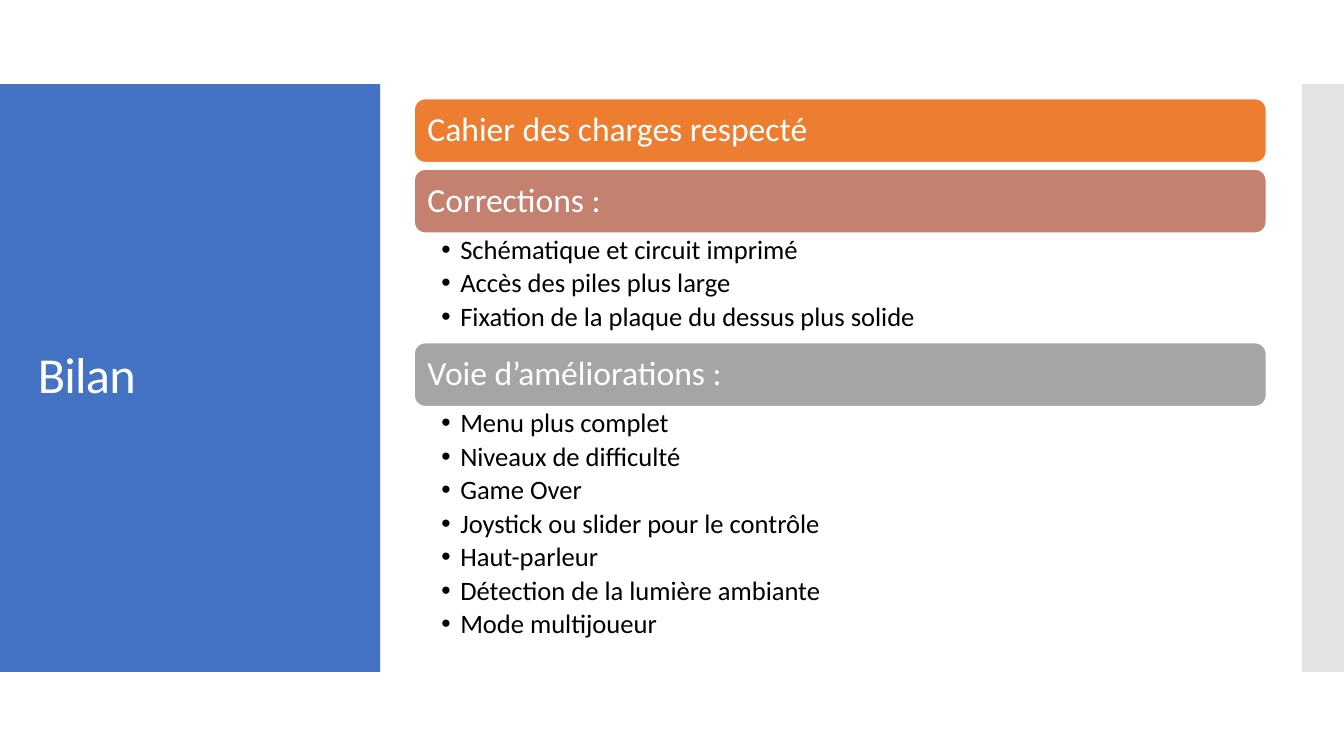
from pptx import Presentation
from pptx.dml.color import RGBColor
from pptx.enum.shapes import MSO_SHAPE
from pptx.enum.text import MSO_ANCHOR, PP_ALIGN
from pptx.oxml.ns import qn
from pptx.util import Pt
from lxml.etree import SubElement

# Content: heading, bar colour, points
TITLE = "Bilan"
SECTIONS = [
    ("Cahier des charges respecté", "ED7D31", []),
    ("Corrections :", "C48170", [
        "Schématique et circuit imprimé",
        "Accès des piles plus large",
        "Fixation de la plaque du dessus plus solide",
    ]),
    ("Voie d’améliorations :", "A5A5A5", [
        "Menu plus complet",
        "Niveaux de difficulté",
        "Game Over",
        "Joystick ou slider pour le contrôle",
        "Haut-parleur",
        "Détection de la lumière ambiante",
        "Mode multijoueur",
    ]),
]

# Layout in points
BAND_TOP, BAND_HEIGHT = 60, 420
LEFT, WIDTH, FIRST_TOP = 296, 608.4, 70.6
BAR_HEIGHT, BAR_GAP = 45.4, 5
POINT_HEIGHT, LIST_PADDING = 25.37, 2.4
BULLET_INDENT = 13.5


def color(value):
    return RGBColor.from_string(value)


def add_block(kind, area, fill, line=None):
    shape = page.shapes.add_shape(kind, *map(Pt, area))
    shape.shadow.inherit = False
    shape.fill.solid()
    shape.fill.fore_color.rgb = color(fill)
    if line:
        shape.line.color.rgb = color(line)
        shape.line.width = Pt(0.85)
    else:
        shape.line.fill.background()
    return shape


def write(shape, lines, size, ink, margins, anchor=MSO_ANCHOR.MIDDLE, after=0):
    frame = shape.text_frame
    left, top, right, bottom = map(Pt, margins)
    frame_format = {
        "word_wrap": True, "vertical_anchor": anchor, "margin_left": left,
        "margin_top": top, "margin_right": right, "margin_bottom": bottom,
    }
    for name, value in frame_format.items():
        setattr(frame, name, value)
    for index, line in enumerate(lines):
        para = frame.paragraphs[0] if index == 0 else frame.add_paragraph()
        para_format = {"alignment": PP_ALIGN.LEFT, "line_spacing": 0.9,
                       "space_after": Pt(after)}
        for name, value in para_format.items():
            setattr(para, name, value)
        span = para.add_run()
        span.text = line
        for name, value in {"name": "Calibri", "size": Pt(size)}.items():
            setattr(span.font, name, value)
        span.font.color.rgb = color(ink)
    return frame.paragraphs


def add_bullet(para):
    properties = para._p.get_or_add_pPr()
    properties.set("lvl", "1")
    properties.set("marL", str(Pt(BULLET_INDENT)))
    properties.set("indent", str(-Pt(BULLET_INDENT)))
    SubElement(properties, qn("a:buFont")).set("typeface", "Arial")
    SubElement(properties, qn("a:buChar")).set("char", "•")


deck = Presentation()
deck.slide_width, deck.slide_height = Pt(960), Pt(540)
page = deck.slides.add_slide(deck.slide_layouts[6])

# Side panels
add_block(MSO_SHAPE.RECTANGLE, (0, BAND_TOP, 271.5, BAND_HEIGHT), "4472C4")
edge = add_block(MSO_SHAPE.RECTANGLE, (930, BAND_TOP, 30, BAND_HEIGHT), "C8C8C8")
edge_color = edge._element.spPr.find(qn("a:solidFill")).find(qn("a:srgbClr"))
SubElement(edge_color, qn("a:alpha")).set("val", "50000")

# Title
title_box = page.shapes.add_textbox(Pt(20), Pt(88.6), Pt(232), Pt(362))
title = write(title_box, [TITLE], 36, "FFFFFF", (7.2, 3.6, 7.2, 3.6))[0]
title.runs[0]._r.get_or_add_rPr().set("spc", "-60")

# Heading bars, each followed by its points or a gap
top = FIRST_TOP
for heading, fill, points in SECTIONS:
    bar = add_block(MSO_SHAPE.ROUNDED_RECTANGLE, (LEFT, top, WIDTH, BAR_HEIGHT),
                    fill, "FFFFFF")
    write(bar, [heading], 24, "FFFFFF", (7.2,) * 4)
    top += BAR_HEIGHT
    if points:
        height = LIST_PADDING + POINT_HEIGHT * len(points)
        box = page.shapes.add_textbox(*map(Pt, (LEFT, top, WIDTH, height)))
        for para in write(box, points, 19, "000000", (19.3, 2.4, 13.5, 2.4),
                          MSO_ANCHOR.TOP, after=3.4):
            add_bullet(para)
        top += height
    else:
        top += BAR_GAP

deck.save("out.pptx")
